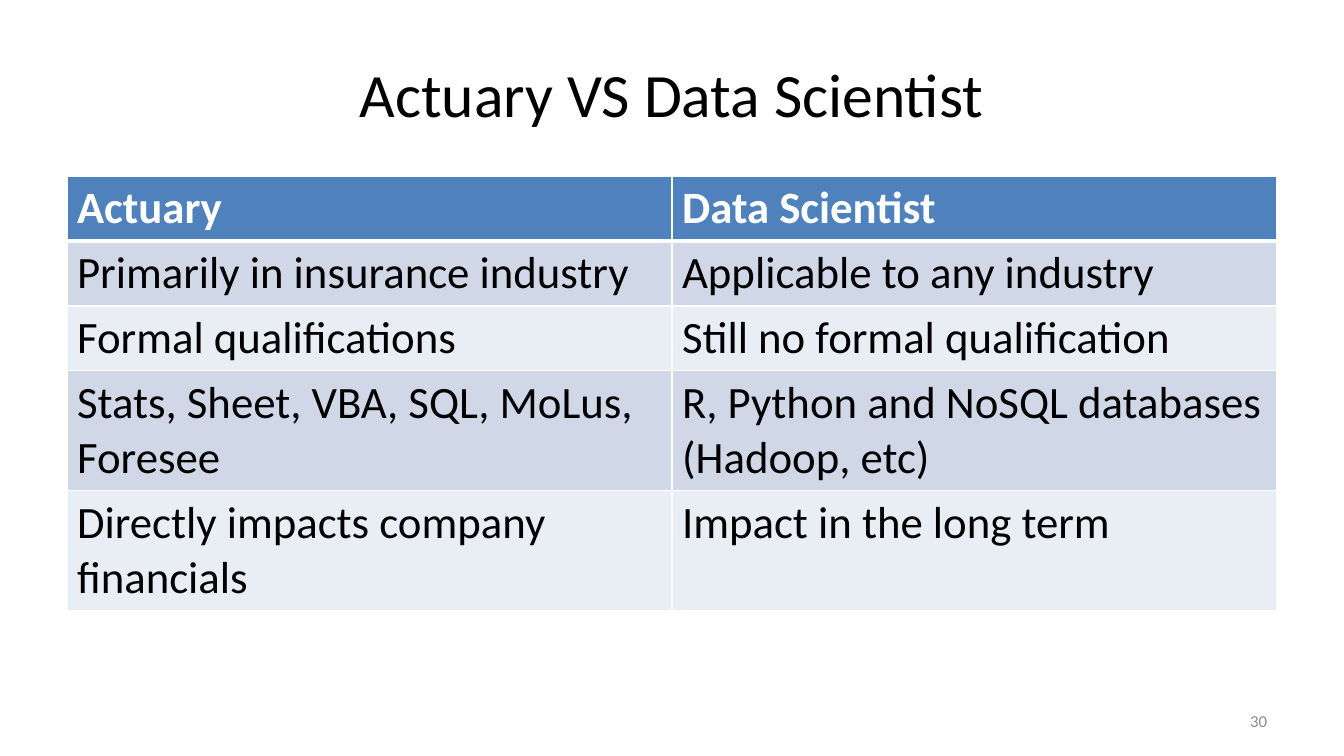
import pptx
import pptx.util
import pptx.dml.color
import pptx.enum.text
import pptx.oxml
import pptx.oxml.ns

RGBColor = pptx.dml.color.RGBColor
BLACK = RGBColor(0x00, 0x00, 0x00)
WHITE = RGBColor(0xFF, 0xFF, 0xFF)
GREY = RGBColor(0x8C, 0x8C, 0x8C)
HEADER_BLUE = RGBColor(0x4F, 0x81, 0xBD)
BANDS = (RGBColor(0xE9, 0xED, 0xF4), RGBColor(0xD0, 0xD8, 0xE8))

TITLE = "Actuary VS Data Scientist"
SLIDE_NUMBER = "30"
ROWS = [
    ("Actuary", "Data Scientist"),
    ("Primarily in insurance industry", "Applicable to any industry"),
    ("Formal qualifications", "Still no formal qualification"),
    ("Stats, Sheet, VBA, SQL, MoLus, Foresee", "R, Python and NoSQL databases (Hadoop, etc)"),
    ("Directly impacts company financials", "Impact in the long term"),
]
ROW_LINES = (1, 1, 1, 2, 2)

SLIDE_SIZE = (1344, 756)
TITLE_BOX = (67, 30, 1210, 126)
TABLE_LEFT, TABLE_TOP, COLUMN_WIDTH = 67, 176, 605
NUMBER_BOX = (964, 701, 313, 40)
LINE_HEIGHT, ROW_PADDING = 55, 10

ALIGN = pptx.enum.text.PP_ALIGN
TITLE_FORMAT = {"size": 44, "color": BLACK, "bold": False, "align": ALIGN.CENTER}
NUMBER_FORMAT = {"size": 12, "color": GREY, "bold": False, "align": ALIGN.RIGHT}
HEADER_FORMAT = {"size": 32, "color": WHITE, "bold": True, "align": ALIGN.LEFT}
BODY_FORMAT = {"size": 32, "color": BLACK, "bold": False, "align": ALIGN.LEFT}


def px(length):
    return round(length * 914400 / 100.8)


def place(shape, box):
    for name, length in zip(("left", "top", "width", "height"), box):
        setattr(shape, name, px(length))


def write(text_frame, text, style):
    text_frame.text = text
    text_frame.word_wrap = True
    paragraph = text_frame.paragraphs[0]
    paragraph.alignment = style["align"]
    font = paragraph.runs[0].font
    font_values = {"name": "Calibri", "size": pptx.util.Pt(style["size"]), "bold": style["bold"]}
    for name, value in font_values.items():
        setattr(font, name, value)
    font.color.rgb = style["color"]


def add_borders(cell, widths):
    properties = cell._tc.get_or_add_tcPr()
    for side, points in widths.items():
        properties.append(pptx.oxml.parse_xml(
            f'<a:ln{side} {pptx.oxml.ns.nsdecls("a")} w="{pptx.util.Pt(points)}">'
            f'<a:solidFill><a:srgbClr val="{WHITE}"/></a:solidFill></a:ln{side}>'))


def add_comparison(slide):
    heights = [px(ROW_PADDING + LINE_HEIGHT * lines) for lines in ROW_LINES]
    column_count = len(ROWS[0])
    table = slide.shapes.add_table(
        len(ROWS), column_count, px(TABLE_LEFT), px(TABLE_TOP),
        px(COLUMN_WIDTH * column_count), sum(heights)).table
    for column in table.columns:
        column.width = px(COLUMN_WIDTH)
    for row_index, texts in enumerate(ROWS):
        table.rows[row_index].height = heights[row_index]
        is_header = row_index == 0
        for column_index, text in enumerate(texts):
            cell = table.cell(row_index, column_index)
            write(cell.text_frame, text, HEADER_FORMAT if is_header else BODY_FORMAT)
            add_borders(cell, {"L": 1, "R": 1, "T": 3 if row_index == 1 else 1,
                               "B": 3 if is_header else 1})
            cell.fill.solid()
            cell.fill.fore_color.rgb = HEADER_BLUE if is_header else BANDS[row_index % 2]


def main():
    presentation = pptx.Presentation()
    presentation.slide_width, presentation.slide_height = map(px, SLIDE_SIZE)
    slide = presentation.slides.add_slide(presentation.slide_layouts[5])
    title = slide.shapes.title
    number = slide.shapes.add_textbox(0, 0, 0, 0)
    for shape, box, text, style in (
        (title, TITLE_BOX, TITLE, TITLE_FORMAT),
        (number, NUMBER_BOX, SLIDE_NUMBER, NUMBER_FORMAT),
    ):
        place(shape, box)
        write(shape.text_frame, text, style)
        shape.text_frame.vertical_anchor = pptx.enum.text.MSO_ANCHOR.MIDDLE
    add_comparison(slide)
    presentation.save("out.pptx")


if __name__ == "__main__":
    main()
